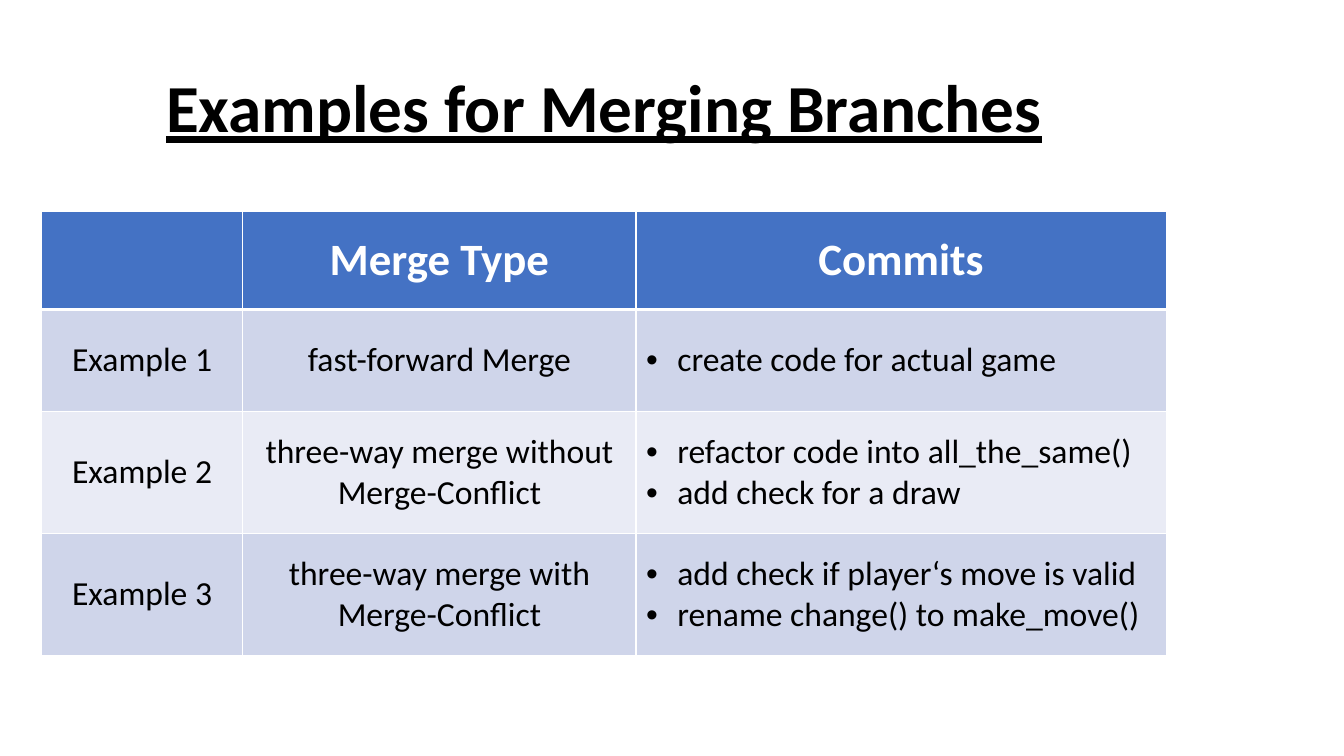
from pptx import Presentation
from pptx.dml.color import RGBColor
from pptx.enum.text import MSO_ANCHOR, MSO_AUTO_SIZE, PP_ALIGN
from pptx.oxml import parse_xml
from pptx.oxml.ns import nsdecls
from pptx.util import Inches, Pt

MIDDLE = MSO_ANCHOR.MIDDLE
CENTER, LEFT = PP_ALIGN.CENTER, PP_ALIGN.LEFT
GROW = MSO_AUTO_SIZE.SHAPE_TO_FIT_TEXT

COLORS = {
    "text": "000000",
    "light": "FFFFFF",
    "header": "4472C4",
    "odd": "CFD5EA",
    "even": "E9EBF5",
}
GRID_COLUMNS, GRID_ROWS = 40, 30
BULLET_INDENT = Inches(0.31)

COLUMN_SPANS = [6, 11.7, 15.78]
ROW_SPANS = [3.88, 4.04, 4.84, 4.84]
TABLE_ROWS = [
    ("", "Merge Type", ["Commits"]),
    ("Example 1", "fast-forward Merge", ["create code for actual game"]),
    ("Example 2", "three-way merge without Merge-Conflict",
     ["refactor code into all_the_same()", "add check for a draw"]),
    ("Example 3", "three-way merge with Merge-Conflict",
     ["add check if player‘s move is valid", "rename change() to make_move()"]),
]


class SlideBuilder:
    """Holds the style and the current slide and adds elements on a grid."""

    font_name = "Calibri"

    def __init__(self, presentation):
        self.column = presentation.slide_width / GRID_COLUMNS
        self.row = presentation.slide_height / GRID_ROWS
        self.slide = presentation.slides.add_slide(presentation.slide_layouts[6])

    def box(self, left, top, width, height):
        return (round(left * self.column), round(top * self.row),
                round(width * self.column), round(height * self.row))

    def add_run(self, paragraph, text, size, color, bold=False, underline=False):
        run = paragraph.add_run()
        run.text = text
        run.font.name = self.font_name
        run.font.size = Pt(size)
        run.font.bold = bold
        run.font.underline = underline
        run.font.color.rgb = RGBColor.from_string(COLORS[color])

    def add_bullet(self, paragraph):
        properties = paragraph._p.get_or_add_pPr()
        properties.set("marL", str(BULLET_INDENT))
        properties.set("indent", str(-BULLET_INDENT))
        properties.append(parse_xml(f'<a:buFont {nsdecls("a")} typeface="Arial"/>'))
        properties.append(parse_xml(f'<a:buChar {nsdecls("a")} char="•"/>'))

    def add_title(self, text, *box):
        shape = self.slide.shapes.add_textbox(*self.box(*box))
        frame = shape.text_frame
        frame.word_wrap = True
        frame.auto_size = GROW
        self.add_run(frame.paragraphs[0], text, 48, "text", bold=True, underline=True)

    def add_borders(self, cell, bottom_width, top_width):
        widths = {"L": 1, "R": 1, "T": top_width, "B": bottom_width}
        for side, width in widths.items():
            cell._tc.get_or_add_tcPr().append(parse_xml(
                f'<a:ln{side} {nsdecls("a")} w="{Pt(width)}"><a:solidFill>'
                f'<a:srgbClr val="{COLORS["light"]}"/></a:solidFill></a:ln{side}>'))

    def fill_cell(self, cell, lines, row_index, bulleted):
        header = row_index == 0
        fill = "header" if header else "odd" if row_index % 2 else "even"
        self.add_borders(cell, 3 if header else 1, 3 if row_index == 1 else 1)
        cell.fill.solid()
        cell.fill.fore_color.rgb = RGBColor.from_string(COLORS[fill])
        cell.vertical_anchor = MIDDLE
        frame = cell.text_frame
        for index, line in enumerate(lines):
            paragraph = frame.add_paragraph() if index else frame.paragraphs[0]
            paragraph.alignment = LEFT if bulleted else CENTER
            if bulleted:
                self.add_bullet(paragraph)
            if line:
                self.add_run(paragraph, line, 32 if header else 24,
                             "light" if header else "text", bold=header)

    def add_table(self, rows, left, top):
        box = self.box(left, top, sum(COLUMN_SPANS), sum(ROW_SPANS))
        table = self.slide.shapes.add_table(len(rows), len(COLUMN_SPANS), *box).table
        for column, span in zip(table.columns, COLUMN_SPANS):
            column.width = round(span * self.column)
        for row, span in zip(table.rows, ROW_SPANS):
            row.height = round(span * self.row)
        for row_index, (example, merge_type, commits) in enumerate(rows):
            cells = [[example], [merge_type], commits]
            for column_index, lines in enumerate(cells):
                bulleted = row_index > 0 and column_index == 2
                self.fill_cell(table.cell(row_index, column_index), lines,
                               row_index, bulleted)


presentation = Presentation()
presentation.slide_width = Inches(13.33)
presentation.slide_height = Inches(7.5)
builder = SlideBuilder(presentation)
builder.add_table(TABLE_ROWS, 1.23, 8.4)
builder.add_title("Examples for Merging Branches", 4.65, 2.4, 27.24, 3.64)
presentation.save("out.pptx")
